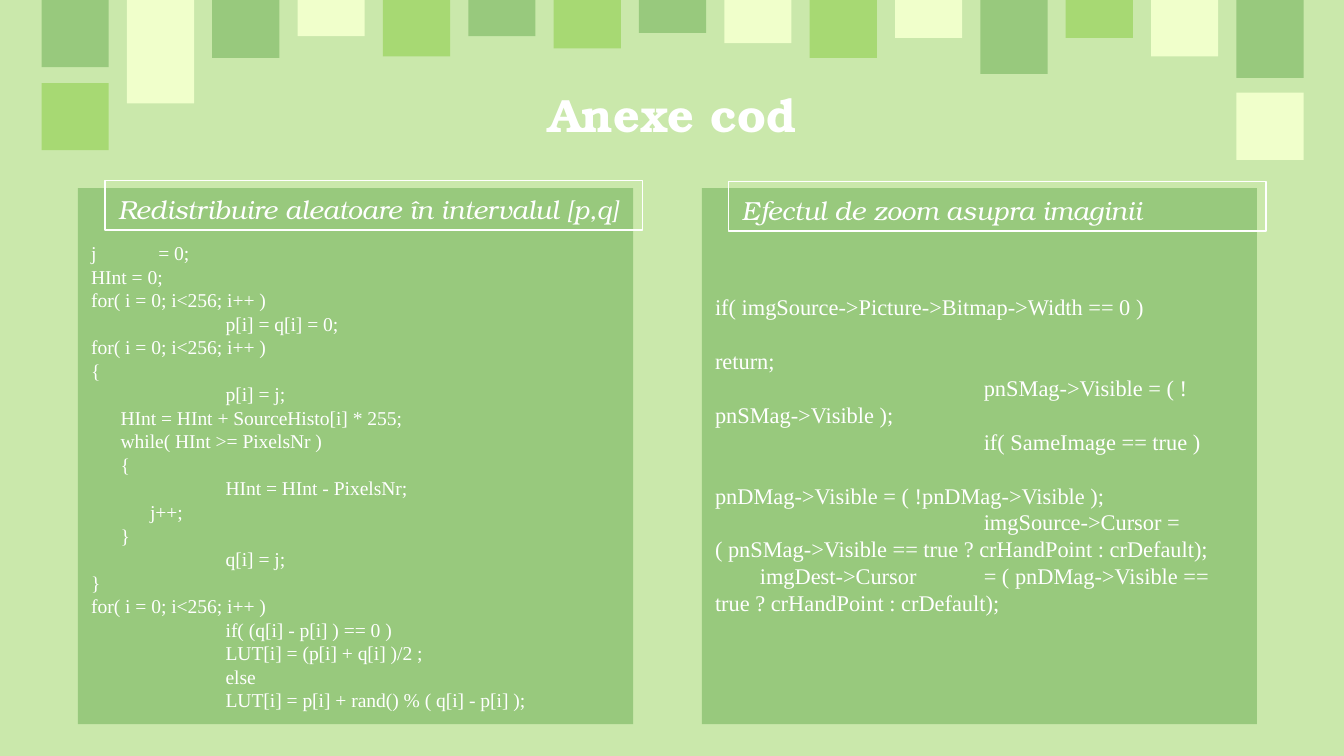
from lxml import etree
from pptx import Presentation
from pptx import util as u
from pptx.dml.color import RGBColor
from pptx.enum import shapes, text
from pptx.oxml.ns import qn

WHITE, SAGE, CREAM, LIME, PALE = "FFFFFF", "98C97D", "F0FFCB", "A7D973", "CAE8AB"
SERIF, MONO_TEXT = "TeX Gyre Bonum", "Times New Roman"

TILE, TILE_LEFT, TILE_PITCH = 36, 22.3, 45.72
TOP_TILES = [
    (SAGE, 36), (CREAM, 55.4), (SAGE, 31), (CREAM, 19.4), (LIME, 30.2),
    (SAGE, 19.4), (LIME, 26), (SAGE, 17.6), (CREAM, 23.2), (LIME, 31),
    (CREAM, 20.4), (SAGE, 39.6), (LIME, 20.4), (CREAM, 30.2), (SAGE, 41.8),
]
LOWER_TILES = [(0, 44.5, LIME), (14, 49.7, CREAM)]

# Each line of code: first-line indent, text, and optionally a tab stop.
REDISTRIBUTION = [
    (0, "j\t= 0;", 13.1),
    (0, "HInt = 0;"),
    (0, "for( i = 0; i<256; i++ )"),
    (72, "p[i] = q[i] = 0;"),
    (0, "for( i = 0; i<256; i++ )"),
    (0, "{"),
    (72, "p[i] = j;"),
    (15.75, "HInt = HInt + SourceHisto[i] * 255;"),
    (15.75, "while( HInt >= PixelsNr )"),
    (15.75, "{"),
    (72, "HInt = HInt - PixelsNr;"),
    (31.5, "j++;"),
    (15.75, "}"),
    (72, "q[i] = j;"),
    (0, "}"),
    (0, "for( i = 0; i<256; i++ )"),
    (72, "if( (q[i] - p[i] ) == 0 )"),
    (72, "LUT[i] = (p[i] + q[i] )/2 ;"),
    (72, "else"),
    (72, "LUT[i] = p[i] + rand() % ( q[i] - p[i] );"),
]
ZOOM = [
    (0, "if( imgSource->Picture->Bitmap->Width == 0 )"),
    (0, "return;"),
    (144, "pnSMag->Visible = ( !pnSMag->Visible );"),
    (144, "if( SameImage == true )"),
    (0, "pnDMag->Visible = ( !pnDMag->Visible );"),
    (144, "imgSource->Cursor = ( pnSMag->Visible == true ? crHandPoint : crDefault);"),
    (24, "imgDest->Cursor\t= ( pnDMag->Visible == true ? crHandPoint : crDefault);", 117),
]


def color(value):
    return RGBColor.from_string(value)


def write(para, content, *, size, font, ink=WHITE, bold=False, italic=False):
    span = para.add_run()
    span.text = content
    span.font.size = u.Pt(size)
    span.font.name = font
    span.font.color.rgb = color(ink)
    span.font.bold = bold
    span.font.italic = italic


def set_insets(frame, inset=7.2, top=None, bottom=None):
    frame.margin_left = frame.margin_right = u.Pt(inset)
    frame.margin_top = u.Pt(inset if top is None else top)
    frame.margin_bottom = u.Pt(inset if bottom is None else bottom)
    frame.word_wrap = True


class SlideBuilder:
    def __init__(self, deck):
        self.page = deck.slides.add_slide(deck.slide_layouts[5])
        fill = self.page.background.fill
        fill.solid()
        fill.fore_color.rgb = color(PALE)

    def rect(self, left, top, width, height, fill=None, line=None):
        box = self.page.shapes.add_shape(
            shapes.MSO_SHAPE.RECTANGLE, *map(u.Pt, (left, top, width, height)))
        box.shadow.inherit = False
        if fill:
            box.fill.solid()
            box.fill.fore_color.rgb = color(fill)
        else:
            box.fill.background()
        if line:
            box.line.color.rgb = color(line)
            box.line.width = u.Pt(0.75)
        else:
            box.line.fill.background()
        return box

    def title(self, content, left, top, width, height):
        box = self.page.shapes.title
        box.left, box.top, box.width, box.height = map(u.Pt, (left, top, width, height))
        frame = box.text_frame
        set_insets(frame)
        frame.auto_size = text.MSO_AUTO_SIZE.NONE
        frame.vertical_anchor = text.MSO_ANCHOR.MIDDLE
        para = frame.paragraphs[0]
        para.alignment = text.PP_ALIGN.CENTER
        write(para, content, size=25, font=SERIF, bold=True)

    def heading(self, content, left, top):
        frame = self.rect(left, top, 288, 26.6, line=WHITE).text_frame
        set_insets(frame)
        frame.vertical_anchor = text.MSO_ANCHOR.TOP
        para = frame.paragraphs[0]
        para.alignment = text.PP_ALIGN.LEFT
        write(para, content, size=14, font=SERIF, italic=True)

    def code(self, lines, left, size, inset_top, spaced=()):
        """Draw a code panel; lines numbered in spaced get one line of space above."""
        frame = self.rect(left, 100.8, 297.4, 287.2, fill=SAGE).text_frame
        set_insets(frame, top=inset_top, bottom=0)
        frame.vertical_anchor = text.MSO_ANCHOR.TOP
        pitch = u.Pt(size * 1.2)
        for number, (indent, content, *stops) in enumerate(lines):
            para = frame.add_paragraph() if number else frame.paragraphs[0]
            para.alignment = text.PP_ALIGN.LEFT
            para.line_spacing = pitch
            para.space_before = pitch if number in spaced else u.Pt(0)
            props = para._p.get_or_add_pPr()
            props.set("marL", "0")
            props.set("indent", str(u.Pt(indent)))
            if stops:
                tabs = etree.SubElement(props, qn("a:tabLst"))
                for stop in stops:
                    etree.SubElement(tabs, qn("a:tab"), pos=str(u.Pt(stop)), algn="l")
            write(para, content, size=size, font=MONO_TEXT)


def main():
    deck = Presentation()
    deck.slide_width, deck.slide_height = u.Pt(720), u.Pt(405)
    slide = SlideBuilder(deck)

    for column, (fill, height) in enumerate(TOP_TILES):
        slide.rect(TILE_LEFT + column * TILE_PITCH, 0, TILE, height, fill)
    for column, top, fill in LOWER_TILES:
        slide.rect(TILE_LEFT + column * TILE_PITCH, top, TILE, TILE, fill)

    slide.title("Anexe cod", 56.2, 42.5, 607.7, 37.4)
    slide.code(REDISTRIBUTION, 41.8, size=10.5, inset_top=28.3)
    slide.heading("Redistribuire aleatoare în intervalul [p,q]", 56.2, 96.6)
    slide.code(ZOOM, 376, size=12, inset_top=56.5, spaced=(1, 4))
    slide.heading("Efectul de zoom asupra imaginii", 390.3, 97.2)

    deck.save("out.pptx")


if __name__ == "__main__":
    main()
